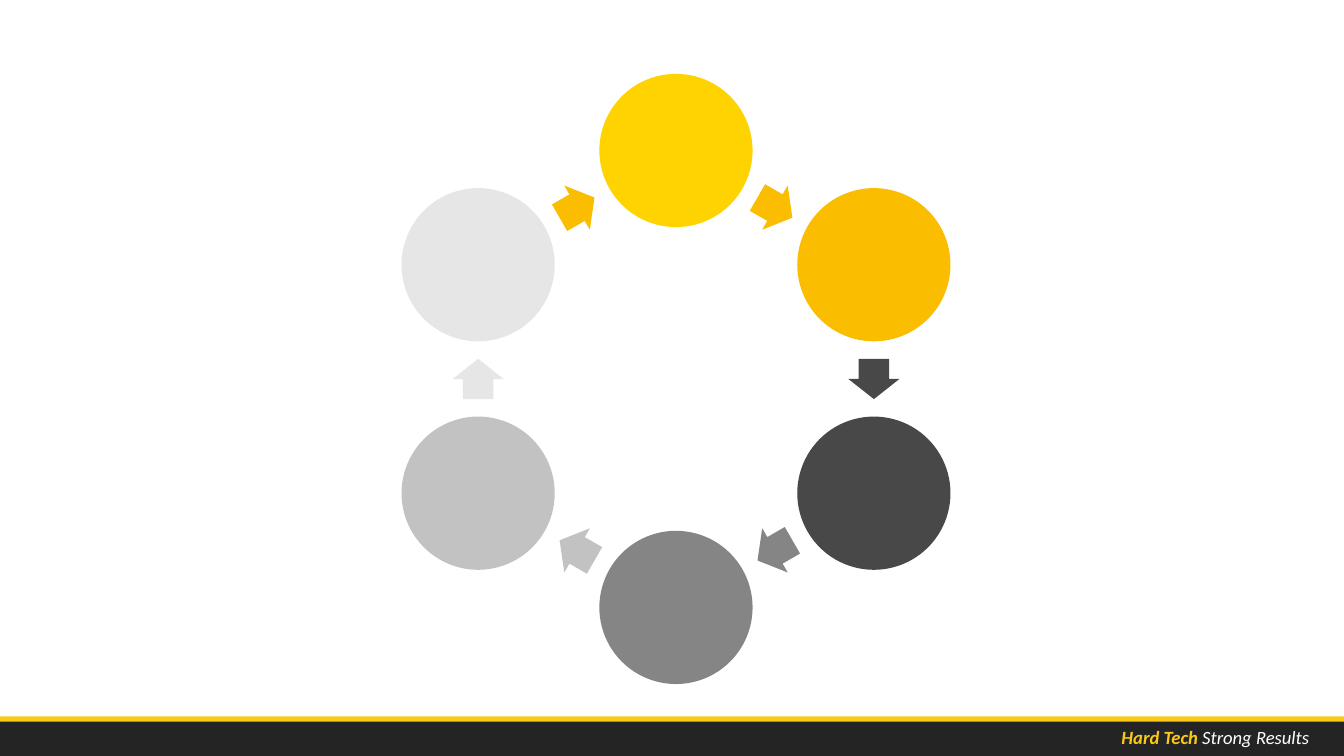
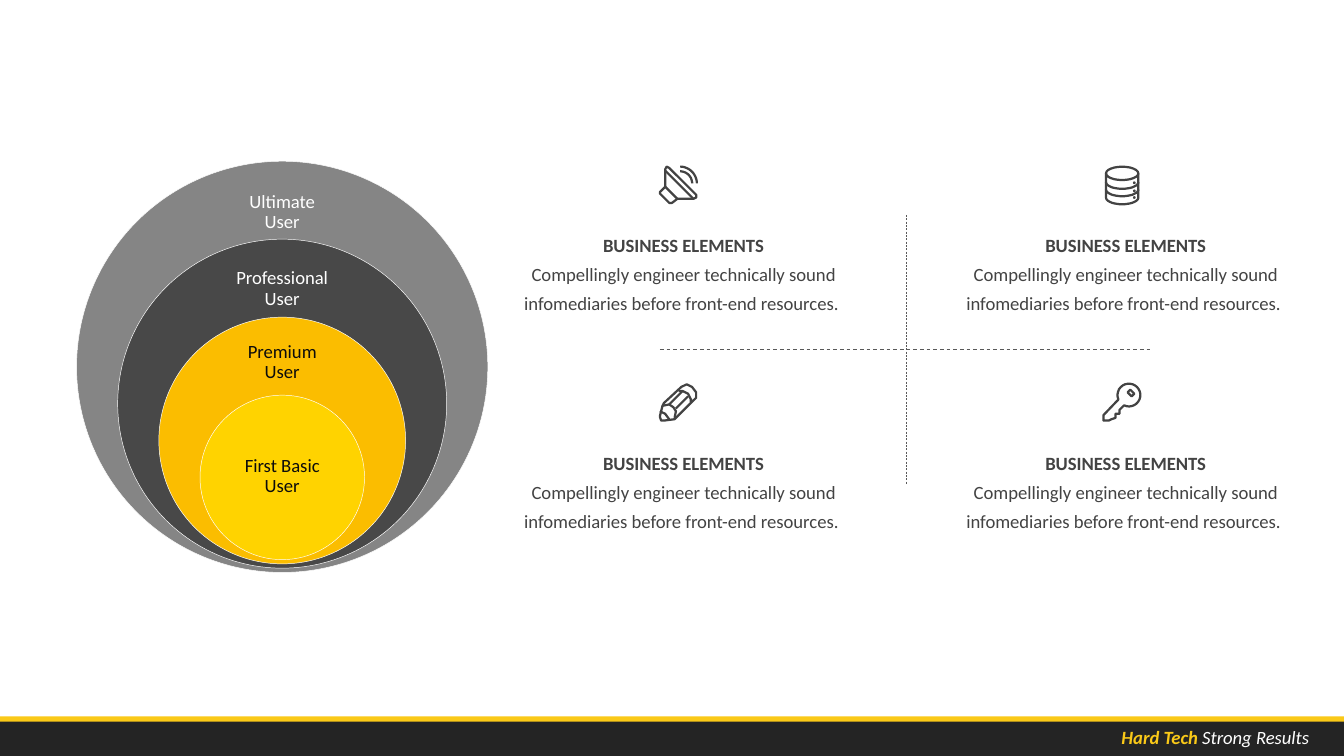
import math
import lxml.etree
import pptx
import pptx.dml.color
import pptx.enum.dml
import pptx.enum.shapes
import pptx.enum.text
import pptx.oxml.ns
import pptx.util

Inch = pptx.util.Inches
Kind = pptx.enum.shapes.MSO_SHAPE
Align = pptx.enum.text.PP_ALIGN
Fit = pptx.enum.text.MSO_AUTO_SIZE

WIDE = 10
HIGH = WIDE * 9 / 16
THEME = {
    "font": "Calibri", "size": 10,
    "gold": "FAC918", "night": "242424", "white": "FFFFFF", "black": "0C0C0C",
    "yellow": "FFD300", "amber": "FBBD00", "dark": "484848", "mid": "858585",
    "light": "C2C2C2", "pale": "E6E6E6", "ink": "434343", "rule": "595959",
}

# Content
SLOGAN = [("Hard Tech ", "gold", True), ("Strong Results", "white", False)]
CYCLE = ["yellow", "amber", "dark", "mid", "light", "pale"]
ARROWS = CYCLE[1:] + ["amber"]
USERS = [  # label, fill, text colour, label drop below circle top, label height
    ("Ultimate User", "mid", "white", 0.15, 0.46),
    ("Professional User", "dark", "white", 0.15, 0.44),
    ("Premium User", "amber", "black", 0.13, 0.41),
    ("First Basic User", "yellow", "black", 0.3, 0.61),
]
HEAD = "BUSINESS ELEMENTS"
BODY = "Compellingly engineer technically sound infomediaries before front-end resources. "


def arc(x, y, wide, high, start, end):
    """Points along an ellipse, angles in degrees, clockwise from the right."""
    turns = [math.radians(start + (end - start) * i / 24) for i in range(25)]
    return [(x + wide * math.cos(t), y + high * math.sin(t)) for t in turns]


# Icons: strokes as (points, closed) in hundredths of an inch
SPEAKER = [
    ([(5, 3), (6, 1), (8, 2), (28, 22), (28, 24), (26, 25), (14, 25), (10, 28),
      (8, 28), (1, 21), (1, 20), (5, 16)], True),
    ([(5, 16), (14, 25)], False),
    ([(5, 4), (26, 25)], False),
    (arc(16, 13.5, 9, 9, -90, 0), False),
    (arc(16, 13.5, 12.5, 12.5, -90, 0), False),
]
STACK = [
    (arc(15, 6, 12, 5, 0, 360), True),
    ([(27, 6)] + arc(15, 24, 12, 5, 0, 180) + [(3, 6)], False),
    (arc(15, 12.5, 12, 5, 0, 180), False),
    (arc(15, 18, 12, 5, 0, 180), False),
]
PENCIL = [
    ([(1, 25), (3, 17), (4, 15), (17, 3), (21, 1), (25, 3), (28, 7), (28, 11),
      (26, 13), (13, 26), (12, 27), (4, 28), (2, 28)], True),
    ([(3, 17), (8, 16), (11, 18), (13, 21), (12, 26)], False),
    ([(15, 6), (18, 6), (22, 8), (24, 12), (24, 14)], False),
    ([(8, 16), (18, 6)], False),
    ([(13, 19), (22, 10)], False),
    ([(1, 21), (5, 23), (8, 27)], False),
]
KEY = [
    (arc(20, 9, 8.5, 8.5, 157, 475) + [
        (14, 19), (13, 20), (13, 23), (10, 23), (10, 26), (7, 27), (5, 28),
        (1, 28), (1, 24)], True),
    ([(19, 7), (21, 5), (24, 8), (22, 10)], True),
]
ICONS = [[SPEAKER, STACK], [PENCIL, KEY]]
DOTS = [13, 19, 24]


# Drawing helpers
def tint(name):
    return pptx.dml.color.RGBColor.from_string(THEME[name])


def apply(thing, **values):
    for name, value in values.items():
        setattr(thing, name, value)


def shape(slide, kind, left, top, wide, high, fill, line=None):
    item = slide.shapes.add_shape(kind, *map(Inch, (left, top, wide, high)))
    item.shadow.inherit = False
    item.fill.solid()
    item.fill.fore_color.rgb = tint(fill)
    if line:
        item.line.color.rgb = tint(line)
        item.line.width = pptx.util.Pt(0.25)
    else:
        item.line.fill.background()
    return item


def text(slide, left, top, wide, high, paras, align, space=1.0, italic=False, **frame):
    """Each paragraph is a list of (words, colour, bold) runs."""
    box = slide.shapes.add_textbox(*map(Inch, (left, top, wide, high)))
    apply(box.text_frame, word_wrap=True, **frame)
    for i, runs in enumerate(paras):
        para = box.text_frame.add_paragraph() if i else box.text_frame.paragraphs[0]
        apply(para, alignment=align, line_spacing=space)
        for words, colour, bold in runs:
            run = para.add_run()
            run.text = words
            apply(run.font, name=THEME["font"], size=pptx.util.Pt(THEME["size"]),
                  bold=bold, italic=italic)
            run.font.color.rgb = tint(colour)
    return box


def rule(slide, start, end, width):
    line = slide.shapes.add_connector(
        pptx.enum.shapes.MSO_CONNECTOR.STRAIGHT, *map(Inch, start + end))
    apply(line.line, width=pptx.util.Pt(width),
          dash_style=pptx.enum.dml.MSO_LINE.DASH)
    line.line.color.rgb = tint("rule")
    lxml.etree.SubElement(line.element.spPr, pptx.oxml.ns.qn("a:effectLst"))


def icon(slide, strokes, left, top):
    fine = [([(x * 10, y * 10) for x, y in pts], shut) for pts, shut in strokes]
    pen = slide.shapes.build_freeform(*fine[0][0][0], scale=Inch(1) / 1000)
    for i, (pts, shut) in enumerate(fine):
        if i:
            pen.move_to(*pts[0])
        pen.add_line_segments(pts[1:], close=shut)
    item = pen.convert_to_shape(Inch(left), Inch(top))
    item.shadow.inherit = False
    item.fill.background()
    item.line.color.rgb = tint("ink")
    item.line.width = pptx.util.Pt(1.2)


# Shared footer, kept on the layout
def footer(slide, layout):
    for spot in list(layout.placeholders):
        layout.shapes.element.remove(spot.element)
    parts = [
        shape(slide, Kind.RECTANGLE, 0, 5.33, WIDE, 0.26, "gold"),
        shape(slide, Kind.RECTANGLE, 0, 5.37, WIDE, 0.26, "night"),
        text(slide, 8.01, 5.35, 1.83, 0.27, [SLOGAN], Align.RIGHT, italic=True,
             auto_size=Fit.SHAPE_TO_FIT_TEXT),
    ]
    for part in parts:
        layout.shapes.element.append(part.element)


# Slide 1: ring of circles joined by arrows
def cycle(slide):
    mid_x, mid_y, reach, size = 5.03, 2.82, 1.7, 1.14
    wide, high = 0.3, 0.38
    step = 360 / len(CYCLE)
    inner = reach * math.cos(math.radians(step / 2))
    for i, (fill, next_fill) in enumerate(zip(CYCLE, ARROWS)):
        turn = math.radians(step * i - 90)
        x, y = mid_x + reach * math.cos(turn), mid_y + reach * math.sin(turn)
        shape(slide, Kind.OVAL, x - size / 2, y - size / 2, size, size, fill)
        turn += math.radians(step / 2)
        x, y = mid_x + inner * math.cos(turn), mid_y + inner * math.sin(turn)
        arrow = shape(slide, Kind.RIGHT_ARROW, x - wide / 2, y - high / 2,
                      wide, high, next_fill)
        arrow.rotation = step * (i + 0.5)
        arrow.adjustments[0] = 0.6
        arrow.adjustments[1] = 0.5


# Slide 2: nested circles
def nest(slide):
    mid_x, top, size, drop, wide = 2.1, 1.2, 3.06, 0.58, 0.86
    pad = Inch(0.08)
    for i, (label, fill, colour, gap, high) in enumerate(USERS):
        across, y = size * (1 - 0.2 * i), top + drop * i
        shape(slide, Kind.OVAL, mid_x - across / 2, y, across, across, fill, "white")
        text(slide, mid_x - wide / 2, y + gap, wide, high, [[(label, colour, False)]],
             Align.CENTER, 0.9, vertical_anchor=pptx.enum.text.MSO_ANCHOR.MIDDLE,
             margin_left=pad, margin_right=pad, margin_top=pad, margin_bottom=pad)


# Slide 2: two by two grid of elements
def grid(slide):
    left, top, col, row = 3.79, 1.64, 3.29, 1.62
    icon_left, icon_top, icon_col = 4.9, 1.23, 3.3
    paras = [[(HEAD, "ink", True)], [(BODY, "ink", False)]]
    for r, line in enumerate(ICONS):
        for c, strokes in enumerate(line):
            icon_x, icon_y = icon_left + icon_col * c, icon_top + row * r
            icon(slide, strokes, icon_x, icon_y)
            if strokes is STACK:
                for dot in DOTS:
                    shape(slide, Kind.OVAL, icon_x + 0.23, icon_y + dot / 100 - 0.01,
                          0.02, 0.02, "ink")
            text(slide, left + col * c, top + row * r, 2.59, 0.76, paras,
                 Align.CENTER, 1.3, auto_size=Fit.SHAPE_TO_FIT_TEXT)
    rule(slide, (4.91, 2.6), (8.57, 2.6), 0.5)
    rule(slide, (6.74, 1.6), (6.74, 3.6), 0.25)


def main():
    deck = pptx.Presentation()
    apply(deck, slide_width=Inch(WIDE), slide_height=Inch(HIGH))
    layout = deck.slide_layouts[6]
    first, second = [deck.slides.add_slide(layout) for _ in range(2)]
    footer(first, layout)
    cycle(first)
    nest(second)
    grid(second)
    deck.save("out.pptx")


if __name__ == "__main__":
    main()
